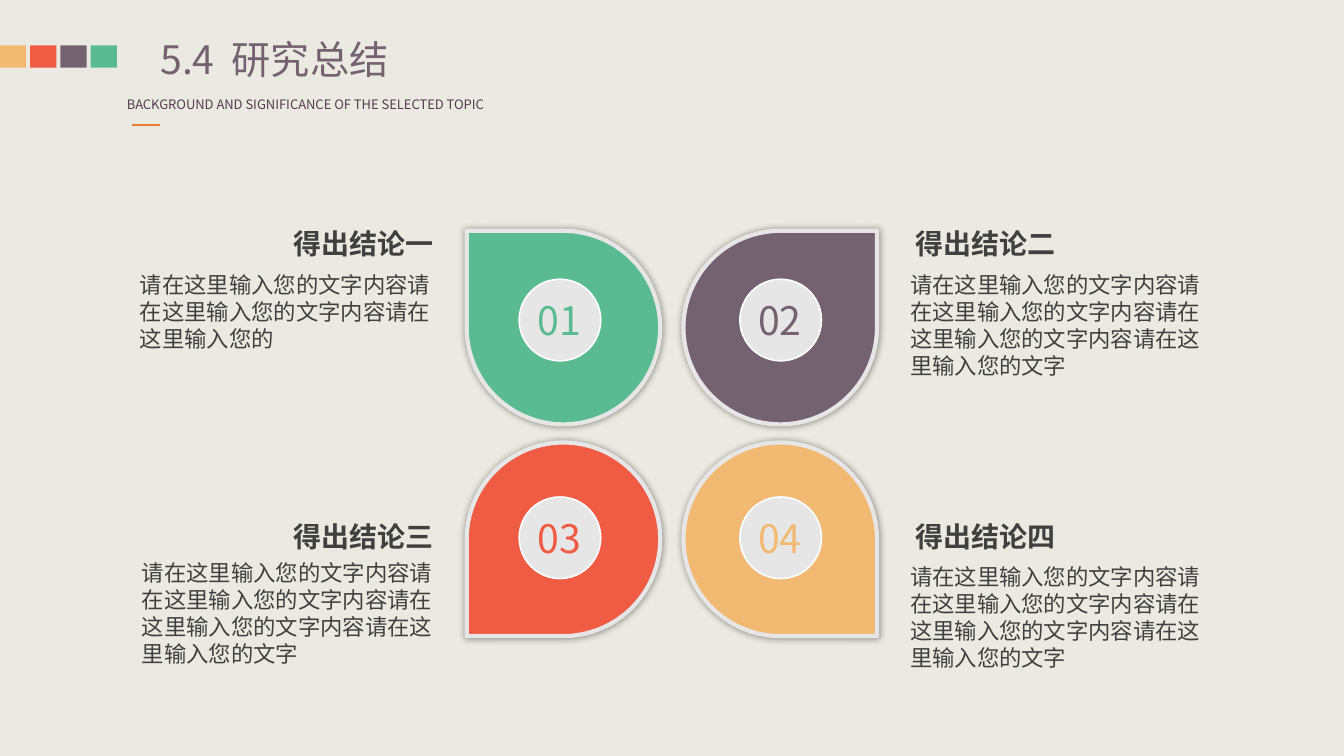
from lxml import etree
from pptx import Presentation
from pptx.dml.color import RGBColor
from pptx.enum.shapes import MSO_CONNECTOR, MSO_SHAPE
from pptx.enum.text import MSO_ANCHOR, MSO_AUTO_SIZE, PP_ALIGN
from pptx.oxml.ns import qn
from pptx.util import Inches, Pt

RECT, OVAL, TEAR = MSO_SHAPE.RECTANGLE, MSO_SHAPE.OVAL, MSO_SHAPE.TEAR
STRAIGHT = MSO_CONNECTOR.STRAIGHT
LEFT, RIGHT = PP_ALIGN.LEFT, PP_ALIGN.RIGHT
TOP, NO_FIT = MSO_ANCHOR.TOP, MSO_AUTO_SIZE.NONE

COLORS = {
    "paper": "EBEAE2", "green": "5ABB93", "plum": "756271", "red": "EF5B43",
    "sand": "F2B973", "rim": "E7E6E6", "white": "FEFEFE", "ink": "404040",
    "caption": "543C4F", "accent": "ED7D31",
}


class Board:
    font = "Noto Sans CJK SC"
    columns, rows = 80, 45
    leading = 1.2

    def __init__(self, deck):
        self.column = deck.slide_width / self.columns
        self.row = deck.slide_height / self.rows
        self.slide = deck.slides.add_slide(deck.slide_layouts[5])
        self.paint(self.slide.background.fill, "paper")

    def color(self, name):
        return RGBColor.from_string(COLORS[name])

    def paint(self, fill, name):
        fill.solid()
        fill.fore_color.rgb = self.color(name)

    def box(self, left, top, width, height):
        return (round(left * self.column), round(top * self.row),
                round(width * self.column), round(height * self.row))

    def typeset(self, frame, parts, size, color, align=LEFT, bold=False):
        frame.auto_size = NO_FIT
        frame.vertical_anchor = TOP
        paragraph = frame.paragraphs[0]
        paragraph.alignment = align
        paragraph.line_spacing = Pt(size * self.leading)
        for words, spacing in parts:
            run = paragraph.add_run()
            run.text = words
            run.font.size = Pt(size)
            run.font.bold = bold
            run.font.name = self.font
            run.font.color.rgb = self.color(color)
            properties = run.font._element
            properties.set("spc", str(spacing))
            properties.find(qn("a:latin")).addnext(
                properties.makeelement(qn("a:ea"), {"typeface": self.font}))

    def title(self, parts, area, size, color):
        heading = self.slide.shapes.title
        heading.left, heading.top, heading.width, heading.height = self.box(*area)
        frame = heading.text_frame
        frame.margin_left = frame.margin_right = 0
        frame.margin_top = frame.margin_bottom = 0
        self.typeset(frame, parts, size, color)

    def text(self, words, area, size, color, align=LEFT, bold=False, wrap=True):
        frame = self.slide.shapes.add_textbox(*self.box(*area)).text_frame
        frame.word_wrap = wrap
        self.typeset(frame, [(words, 0)], size, color, align, bold)

    def shape(self, kind, area, fill, rim=None, weight=0):
        shape = self.slide.shapes.add_shape(kind, *self.box(*area))
        shape.shadow.inherit = False
        self.paint(shape.fill, fill)
        if rim:
            shape.line.color.rgb = self.color(rim)
            shape.line.width = Pt(weight)
        else:
            shape.line.fill.background()
        return shape

    def petal(self, area, fill, mirrored, upended):
        properties = self.shape(TEAR, area, fill, "rim", 3)._element.spPr
        frame = properties.find(qn("a:xfrm"))
        frame.set("flipH", str(int(mirrored)))
        frame.set("flipV", str(int(upended)))
        glow = etree.SubElement(
            properties.find(qn("a:effectLst")), qn("a:outerShdw"),
            blurRad=str(Pt(5)), dist="0", dir="0", algn="ctr", rotWithShape="0")
        black = etree.SubElement(glow, qn("a:srgbClr"), val="000000")
        etree.SubElement(black, qn("a:alpha"), val="40000")

    def rule(self, left, right, level, color, weight):
        start, height, end, _ = self.box(left, level, right, 0)
        line = self.slide.shapes.add_connector(STRAIGHT, start, height, end, height)
        line.line.color.rgb = self.color(color)
        line.line.width = Pt(weight)
        etree.SubElement(line._element.spPr, qn("a:effectLst"))


def main():
    deck = Presentation()
    deck.slide_width, deck.slide_height = Inches(13.333), Inches(7.5)
    board = Board(deck)

    for place, swatch in enumerate(["sand", "red", "plum", "green"]):
        board.shape(RECT, (1.8 * place, 2.7, 1.56, 1.32), swatch)
    board.title([("5.4", 0), (" ", 600), ("研究总结", 0)],
                (9.54, 2.1, 23.94, 2.82), 28, "plum")
    board.text("BACKGROUND AND SIGNIFICANCE OF THE SELECTED TOPIC",
               (6.96, 5.46, 24.42, 1.56), 9.3, "caption", wrap=False)
    board.rule(7.86, 9.54, 7.44, "accent", 1.5)

    phrase = "请在这里输入您的文字内容"
    short = phrase * 2 + "请在这里输入您的"
    full = phrase * 3 + "请在这里输入您的文字"
    conclusions = [
        ("得出结论一", short, "green", 7.74, 15.84),
        ("得出结论二", full, "plum", 53.58, 15.84),
        ("得出结论三", full, "red", 7.86, 33),
        ("得出结论四", full, "sand", 53.58, 33.24),
    ]
    petal_lefts, petal_tops = (27.78, 40.68), (13.74, 26.34)
    disc_lefts, disc_tops = (30.9, 44.04), (16.62, 29.58)
    heading_lefts, heading_tops = (16.32, 53.34), (13.2, 30.6)

    for index, (heading, detail, hue, detail_left, detail_top) in enumerate(conclusions):
        level, side = divmod(index, 2)
        disc_left, disc_top = disc_lefts[side], disc_tops[level]
        board.petal((petal_lefts[side], petal_tops[level], 11.52, 11.52),
                    hue, side == 0, level == 1)
        board.shape(OVAL, (disc_left, disc_top, 4.86, 4.86), "rim", "white", 1.13)
        board.text(f"{index + 1:02d}", (disc_left + 0.5, disc_top + 0.72, 3.96, 3.42),
                   28, hue, wrap=False)
        board.text(heading, (heading_lefts[side], heading_tops[level], 10.08, 2.64),
                   20, "ink", RIGHT, True)
        board.text(detail, (detail_left, detail_top, 19.68, 7.08), 16, "ink")

    deck.save("out.pptx")


if __name__ == "__main__":
    main()
